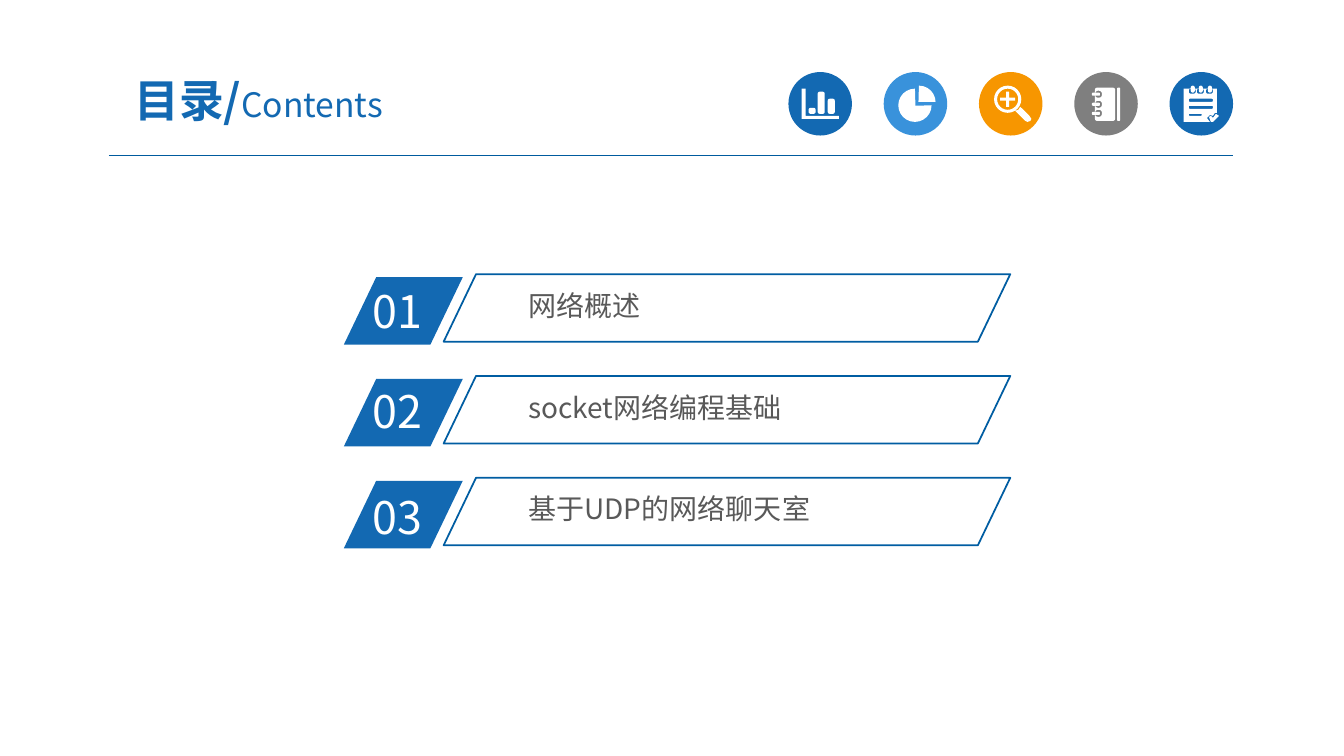
from math import cos, radians, sin

from lxml.etree import SubElement
from pptx import Presentation
from pptx.dml.color import RGBColor
from pptx.enum.shapes import MSO_CONNECTOR, MSO_SHAPE
from pptx.enum.text import MSO_ANCHOR, MSO_AUTO_SIZE, PP_ALIGN
from pptx.oxml.ns import qn
from pptx.util import Inches, Pt

FONT = "Noto Sans CJK SC"
BLUE, SKY, ORANGE, GRAY, WHITE = "1369B2", "3992DB", "F79600", "7F7F7F", "FFFFFF"

presentation = Presentation()
presentation.slide_width = Inches(13.33)
presentation.slide_height = Inches(7.5)
slide = presentation.slides.add_slide(presentation.slide_layouts[5])


def style(figure, fill=None, line=None):
    figure.shadow.inherit = False
    figure.fill.background()
    figure.line.fill.background()
    if fill:
        figure.fill.solid()
        figure.fill.fore_color.rgb = RGBColor.from_string(fill)
    if line:
        figure.line.color.rgb = RGBColor.from_string(line)
        figure.line.width = Pt(1.25)


def rounded(left, top, width, height, radius, steps=3):
    right, bottom = left + width - radius, top + height - radius
    left, top = left + radius, top + radius
    corners = [(right, bottom), (left, bottom), (left, top), (right, top)]
    return [
        (x + radius * cos(radians(90 * (quarter + step / steps))),
         y + radius * sin(radians(90 * (quarter + step / steps))))
        for quarter, (x, y) in enumerate(corners)
        for step in range(steps + 1)
    ]


header_rule = slide.shapes.add_connector(
    MSO_CONNECTOR.STRAIGHT, Inches(1.08), Inches(1.54), Inches(12.23), Inches(1.54))
header_rule.line.color.rgb = RGBColor.from_string("005B9E")
header_rule.line.width = Pt(0.75)
SubElement(header_rule._element.spPr, qn("a:effectLst"))

bar_chart = [
    [(7.95, 0.88), (7.99, 0.88), (7.99, 1.15), (8.32, 1.15), (8.32, 1.18), (7.95, 1.18)],
    rounded(8.02, 1.07, 0.07, 0.06, 0.02),
    rounded(8.11, 0.91, 0.07, 0.22, 0.02),
    rounded(8.21, 0.98, 0.07, 0.15, 0.02),
]
pie_chart = [
    rounded(8.91, 0.88, 0.33, 0.33, 0.165, 6)[:21] + [(9.08, 1.05)],
    rounded(8.94, 0.85, 0.34, 0.33, 0.165, 6)[21:] + [(9.28, 1.01), (9.11, 1.01)],
]
magnifier = [
    rounded(9.86, 0.85, 0.27, 0.27, 0.135, 6),
    rounded(9.89, 0.88, 0.21, 0.21, 0.105, 6),
    [(9.98, 0.91), (10.01, 0.91), (10.01, 0.97), (10.07, 0.97), (10.07, 1), (10.01, 1),
     (10.01, 1.06), (9.98, 1.06), (9.98, 1), (9.92, 1), (9.92, 0.97), (9.98, 0.97)],
    [(10.12, 1.06), (10.21, 1.15), (10.23, 1.18), (10.22, 1.2), (10.19, 1.21),
     (10.17, 1.2), (10.07, 1.1), (10.1, 1.09)],
]
notebook = [rounded(10.86, 0.87, 0.2, 0.33, 0.02), rounded(11.08, 0.87, 0.03, 0.33, 0.01)]
for ring_top in (0.9, 1, 1.09):
    notebook.append(rounded(10.86, ring_top, 0.07, 0.07, 0.03))
    notebook.append(rounded(10.83, ring_top + 0.02, 0.08, 0.03, 0.01))
notepad = [
    [(11.74, 0.88), (12.07, 0.88), (12.07, 1.12), (12.05, 1.12), (12.03, 1.15),
     (12, 1.14), (11.97, 1.17), (12, 1.21), (11.74, 1.21)],
    [(11.99, 1.16), (12.01, 1.15), (12.03, 1.17), (12.06, 1.13), (12.09, 1.15),
     (12.03, 1.21), (12.01, 1.21)],
    rounded(11.79, 0.98, 0.24, 0.03, 0.01),
    rounded(11.79, 1.05, 0.24, 0.03, 0.01),
    rounded(11.79, 1.13, 0.13, 0.02, 0.01),
]
for ring_left in (11.79, 11.87, 11.96):
    notepad.append(rounded(ring_left, 0.88, 0.07, 0.05, 0.02))
    notepad.append(rounded(ring_left + 0.02, 0.85, 0.04, 0.07, 0.02))

badges = [(BLUE, bar_chart), (SKY, pie_chart), (ORANGE, magnifier),
          (GRAY, notebook), (BLUE, notepad)]
for position, (badge_color, contours) in enumerate(badges):
    disc = slide.shapes.add_shape(
        MSO_SHAPE.OVAL, Inches(7.82 + position * 0.945), Inches(0.715),
        Inches(0.63), Inches(0.63))
    style(disc, badge_color)
    inked = [[(Inches(x), Inches(y)) for x, y in contour] for contour in contours]
    builder = slide.shapes.build_freeform(*inked[0][0], scale=1.0)
    builder.add_line_segments(inked[0][1:], close=True)
    for contour in inked[1:]:
        builder.move_to(*contour[0])
        builder.add_line_segments(contour[1:], close=True)
    style(builder.convert_to_shape(), WHITE)

title = slide.shapes.title
title.left, title.top = Inches(0.92), Inches(0.63)
title.width, title.height = Inches(3.29), Inches(0.72)
heading = title.text_frame
heading.auto_size = MSO_AUTO_SIZE.NONE
heading.vertical_anchor = MSO_ANCHOR.MIDDLE
heading.margin_left = heading.margin_right = Inches(0.13)
heading.margin_top = heading.margin_bottom = Inches(0.07)
heading.paragraphs[0].alignment = PP_ALIGN.CENTER
for words, size, bold in [("目录/", 32, True), ("Contents", 24, False)]:
    run = heading.paragraphs[0].add_run()
    run.text = words
    run.font.name = FONT
    run.font.size = Pt(size)
    run.font.bold = bold
    run.font.color.rgb = RGBColor.from_string(BLUE)

chapters = [
    ("01", 2.77, "网络概述"),
    ("02", 3.76, "socket网络编程基础"),
    ("03", 4.81, "基于UDP的网络聊天室"),
]
for row, (number, number_top, topic) in enumerate(chapters):
    offset = row * 1.01
    for left, top, width, fill, line in [
        (3.41, 2.75, 1.18, BLUE, None),
        (4.4, 2.72, 5.62, None, "005DA2"),
    ]:
        panel = slide.shapes.add_shape(
            MSO_SHAPE.PARALLELOGRAM, Inches(left), Inches(top + offset),
            Inches(width), Inches(0.67))
        panel.adjustments[0] = 0.48
        style(panel, fill, line)
    for text, left, top, width, height, size, color, inset_x, inset_y in [
        (number, 3.6, number_top, 1.12, 0.64, 32, WHITE, 0.1, 0.05),
        (topic, 5.17, 2.82 + offset, 4.12, 0.41, 20, "595959", 0.07, 0.04),
    ]:
        label = slide.shapes.add_textbox(
            Inches(left), Inches(top), Inches(width), Inches(height))
        frame = label.text_frame
        frame.word_wrap = True
        frame.margin_left = frame.margin_right = Inches(inset_x)
        frame.margin_top = frame.margin_bottom = Inches(inset_y)
        paragraph = frame.paragraphs[0]
        paragraph.text = text
        paragraph.font.name = FONT
        paragraph.font.size = Pt(size)
        paragraph.font.color.rgb = RGBColor.from_string(color)

presentation.save("out.pptx")
